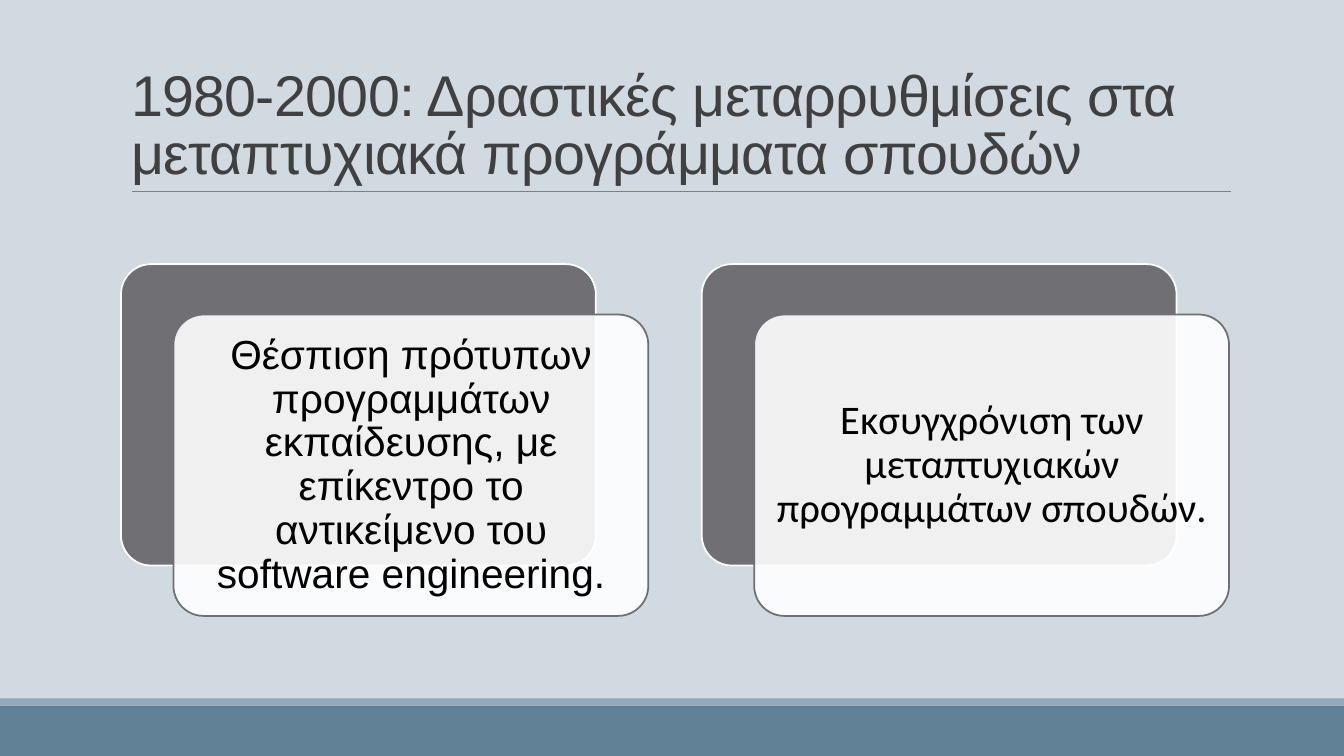
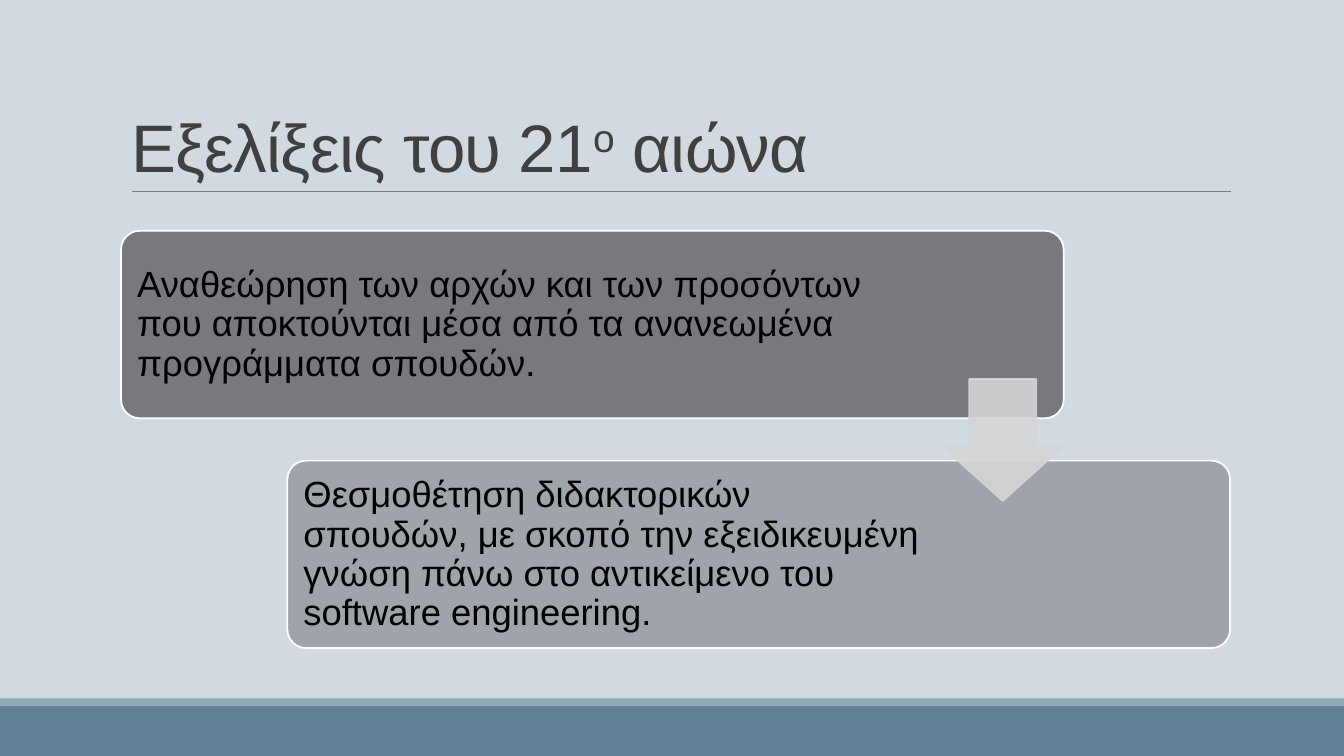
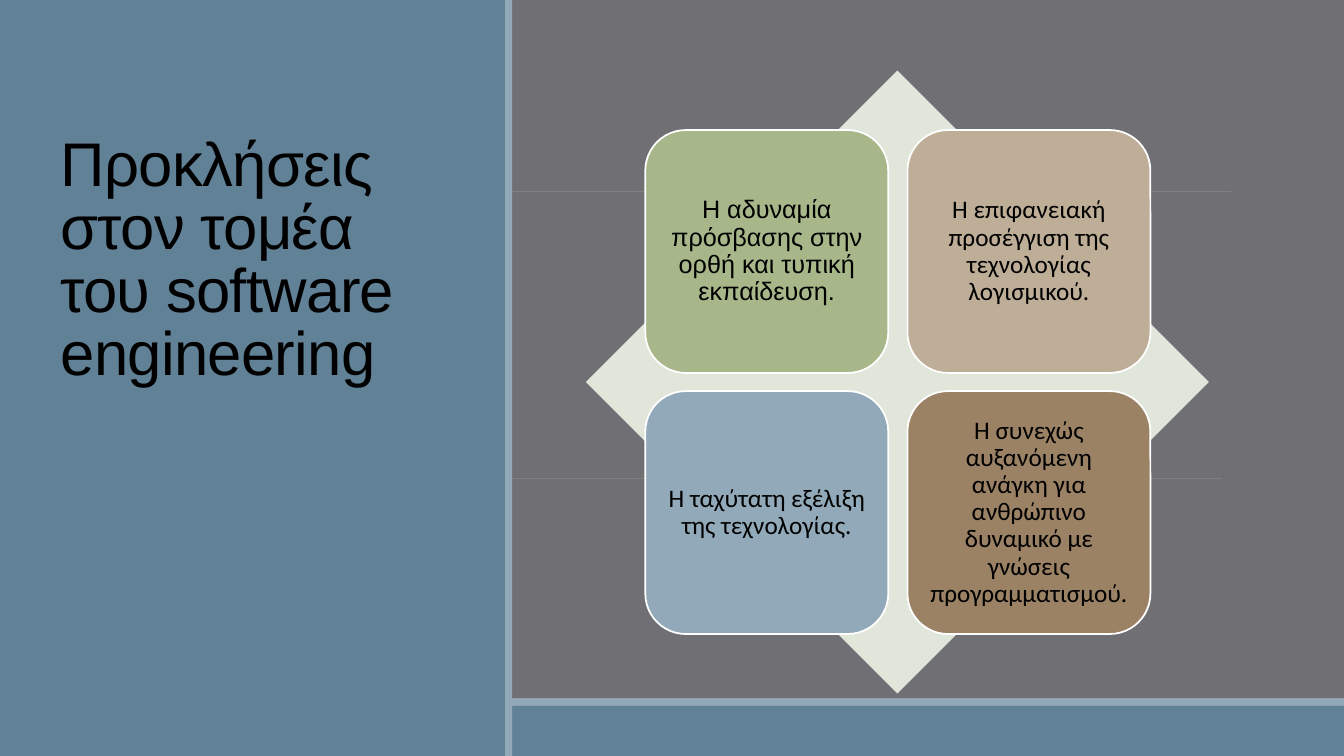
from lxml.etree import SubElement
from pptx import Presentation
from pptx.dml.color import RGBColor
from pptx.enum.shapes import MSO_CONNECTOR, MSO_SHAPE
from pptx.enum.text import MSO_ANCHOR, MSO_AUTO_SIZE, PP_ALIGN
from pptx.oxml.ns import qn
from pptx.util import Inches, Pt

PALE = RGBColor(0xD1, 0xD9, 0xE1)
BLUE = RGBColor(0x61, 0x81, 0x97)
LIGHT_BLUE = RGBColor(0x92, 0xA9, 0xB9)
GRAY = RGBColor(0x6F, 0x6F, 0x74)
RULE_GRAY = RGBColor(0x80, 0x80, 0x80)
ARROW_GRAY = RGBColor(0xD5, 0xD5, 0xD6)
TITLE_GRAY = RGBColor(0x40, 0x40, 0x40)
SAGE = RGBColor(0xE1, 0xE6, 0xDA)
GREEN = RGBColor(0xA7, 0xB7, 0x89)
SAND = RGBColor(0xBE, 0xAE, 0x98)
BROWN = RGBColor(0x9C, 0x82, 0x65)
WHITE = RGBColor(0xFF, 0xFF, 0xFF)
BLACK = RGBColor(0, 0, 0)

WIDTH, HEIGHT = 13.33, 7.5
TITLE_BOX = (1.2, 0.31, 11, 1.59)


def write(p, text, size=18, font="Arial", color=BLACK, spc=None, base=None):
    """Add text to a paragraph; a newline becomes a line break."""
    for i, line in enumerate(text.split("\n")):
        if i:
            p.add_line_break()
        r = p.add_run()
        r.text = line
        r.font.size = Pt(size)
        r.font.name = font
        r.font.color.rgb = color
        for name, value in (("spc", spc), ("baseline", base)):
            if value is not None:
                r.font._element.set(name, str(value))


def set_alpha(fill_parent, percent):
    """Make the solid fill found under an element partly transparent."""
    color = fill_parent.find(qn("a:solidFill"))[0]
    SubElement(color, qn("a:alpha")).set("val", str(percent * 1000))


class Deck:
    """The presentation, its shared style and the current slide."""

    def __init__(self):
        """Set the slide size and the common background."""
        self.prs = Presentation()
        self.prs.slide_width = Inches(WIDTH)
        self.prs.slide_height = Inches(HEIGHT)
        fill = self.prs.slide_master.background.fill
        fill.solid()
        fill.fore_color.rgb = PALE
        self.s = None

    def new_slide(self):
        """Start a title-only slide; the first one also fills the master."""
        first = self.s is None
        self.s = self.prs.slides.add_slide(self.prs.slide_layouts[5])
        if first:
            self.share([*self.bands(), self.rule(1.31, 12.21, 1.9)])

    def share(self, shapes):
        """Move shapes from the current slide to the master."""
        tree = self.prs.slide_master.shapes.element
        for i, sp in enumerate(shapes):
            sp.element.xpath(".//p:cNvPr")[0].set("id", str(100 + i))
            tree.append(sp.element)

    def bands(self):
        """Draw the two bands at the foot."""
        return (self.shape(MSO_SHAPE.RECTANGLE, (0, 7, WIDTH, 0.5), BLUE),
                self.shape(MSO_SHAPE.RECTANGLE, (0, 6.93, WIDTH, 0.07), LIGHT_BLUE))

    def rule(self, left, right, y):
        """Draw a thin horizontal line."""
        line = self.s.shapes.add_connector(
            MSO_CONNECTOR.STRAIGHT, Inches(left), Inches(y), Inches(right), Inches(y))
        line.line.color.rgb = RULE_GRAY
        line.line.width = Pt(0.5)
        SubElement(line.element.spPr, qn("a:effectLst"))
        return line

    def title(self, *parts, box=TITLE_BOX, size=48, color=TITLE_GRAY):
        """Fill the title from (text, baseline) parts and bring it forward."""
        sp = self.s.shapes.title
        self.s.shapes.element.append(sp.element)
        sp.left, sp.top, sp.width, sp.height = map(Inches, box)
        p = self.frame(sp.text_frame, MSO_ANCHOR.BOTTOM, PP_ALIGN.LEFT, 0.85)
        for text, base in parts:
            write(p, text, size=size, color=color, spc=-50, base=base)

    def frame(self, tf, anchor, align, spacing):
        """Format a text frame and return its first paragraph."""
        tf.word_wrap = True
        tf.auto_size = MSO_AUTO_SIZE.NONE
        tf.vertical_anchor = anchor
        p = tf.paragraphs[0]
        p.alignment = align
        p.line_spacing = spacing
        return p

    def shape(self, kind, box, fill, line=None, alpha=None, line_alpha=None, adj=()):
        """Draw a filled preset shape."""
        sp = self.s.shapes.add_shape(kind, *map(Inches, box))
        sp.shadow.inherit = False
        for i, value in enumerate(adj):
            sp.adjustments[i] = value
        sp.fill.solid()
        sp.fill.fore_color.rgb = fill
        if alpha:
            set_alpha(sp.element.spPr, alpha)
        if line is None:
            sp.line.fill.background()
        else:
            sp.line.color.rgb = line
            sp.line.width = Pt(1.25)
            if line_alpha:
                set_alpha(sp.element.spPr.find(qn("a:ln")), line_alpha)
        return sp

    def card(self, box, fill, line=WHITE, alpha=None, adj=(0.1,)):
        """Draw a rounded card."""
        self.shape(MSO_SHAPE.ROUNDED_RECTANGLE, box, fill, line, alpha, adj=adj)

    def text(self, text, box, inset, align=PP_ALIGN.CENTER, **fmt):
        """Place a vertically centred text box."""
        tf = self.s.shapes.add_textbox(*map(Inches, box)).text_frame
        tf.margin_left = tf.margin_right = Inches(inset)
        tf.margin_top = tf.margin_bottom = Inches(inset)
        write(self.frame(tf, MSO_ANCHOR.MIDDLE, align, 0.9), text, **fmt)


def reforms(deck):
    """Two stacked cards on the reforms of 1980-2000."""
    deck.new_slide()
    deck.title(("1980-2000: Δραστικές μεταρρυθμίσεις στα\n"
                "μεταπτυχιακά προγράμματα σπουδών", None), size=41)
    items = (
        ("Θέσπιση πρότυπων προγραμμάτων εκπαίδευσης, με επίκεντρο το "
         "αντικείμενο του software engineering.", "Arial"),
        ("Εκσυγχρόνιση των μεταπτυχιακών προγραμμάτων σπουδών.", "Calibri"),
    )
    for i, (text, font) in enumerate(items):
        x = 1.2 + 5.76 * i
        deck.card((x, 2.62, 4.71, 2.99), GRAY)
        deck.card((x + 0.52, 3.12, 4.71, 2.99), WHITE, line=GRAY, alpha=90)
        deck.text(text, (x + 0.61, 3.21, 4.54, 2.82), 0.12, size=29, font=font)


def developments(deck):
    """Two steps joined by an arrow."""
    deck.new_slide()
    deck.title(("Εξελίξεις του 21", None), ("ο", 30000), (" αιώνα", None))
    steps = (
        ("Αναθεώρηση των αρχών και των προσόντων που αποκτούνται μέσα από τα "
         "ανανεωμένα προγράμματα σπουδών.", 90, 7.42),
        ("Θεσμοθέτηση διδακτορικών σπουδών, με σκοπό την εξειδικευμένη γνώση "
         "πάνω στο αντικείμενο του software engineering.", 50, 6.38),
    )
    for i, (text, alpha, text_width) in enumerate(steps):
        x, y = 1.2 + 1.65 * i, 2.29 + 2.28 * i
        deck.card((x, y, 9.35, 1.86), GRAY, alpha=alpha)
        deck.text(text, (x + 0.05, y + 0.06, text_width, 1.75), 0.11,
                  align=PP_ALIGN.LEFT, size=26)
    deck.shape(MSO_SHAPE.DOWN_ARROW, (9.34, 3.76, 1.21, 1.21), ARROW_GRAY,
               ARROW_GRAY, alpha=90, line_alpha=90, adj=(0.55, 0.45))


def challenges(deck):
    """A side title and four cards over a diamond."""
    deck.new_slide()
    fill = deck.s.background.fill
    fill.solid()
    fill.fore_color.rgb = GRAY
    deck.bands()
    deck.rule(1.32, 12.12, 4.75)
    deck.shape(MSO_SHAPE.RECTANGLE, (0, 0, 5.01, HEIGHT), BLUE)
    deck.title(("Προκλήσεις στον τομέα του software engineering", None),
               box=(0.5, 0.7, 4, 3.2), size=44, color=BLACK)
    deck.shape(MSO_SHAPE.RECTANGLE, (5.01, 0, 0.07, HEIGHT), LIGHT_BLUE)
    deck.shape(MSO_SHAPE.DIAMOND, (5.81, 0.7, 6.18, 6.18), SAGE)
    items = (
        ("Η αδυναμία πρόσβασης στην ορθή και τυπική εκπαίδευση.", GREEN, "Arial"),
        ("Η επιφανειακή προσέγγιση της τεχνολογίας λογισμικού.", SAND, "Calibri"),
        ("Η ταχύτατη εξέλιξη της τεχνολογίας.", LIGHT_BLUE, "Calibri"),
        ("Η συνεχώς αυξανόμενη ανάγκη για ανθρώπινο δυναμικό με γνώσεις "
         "προγραμματισμού.", BROWN, "Calibri"),
    )
    for i, (text, color, font) in enumerate(items):
        row, col = divmod(i, 2)
        x, y = 6.4 + 2.6 * col, 1.29 + 2.59 * row
        deck.card((x, y, 2.41, 2.41), color, adj=())
        deck.text(text, (x + 0.12, y + 0.12, 2.17, 2.17), 0.07, font=font)


deck = Deck()
for build in (reforms, developments, challenges):
    build(deck)
deck.prs.save("out.pptx")
